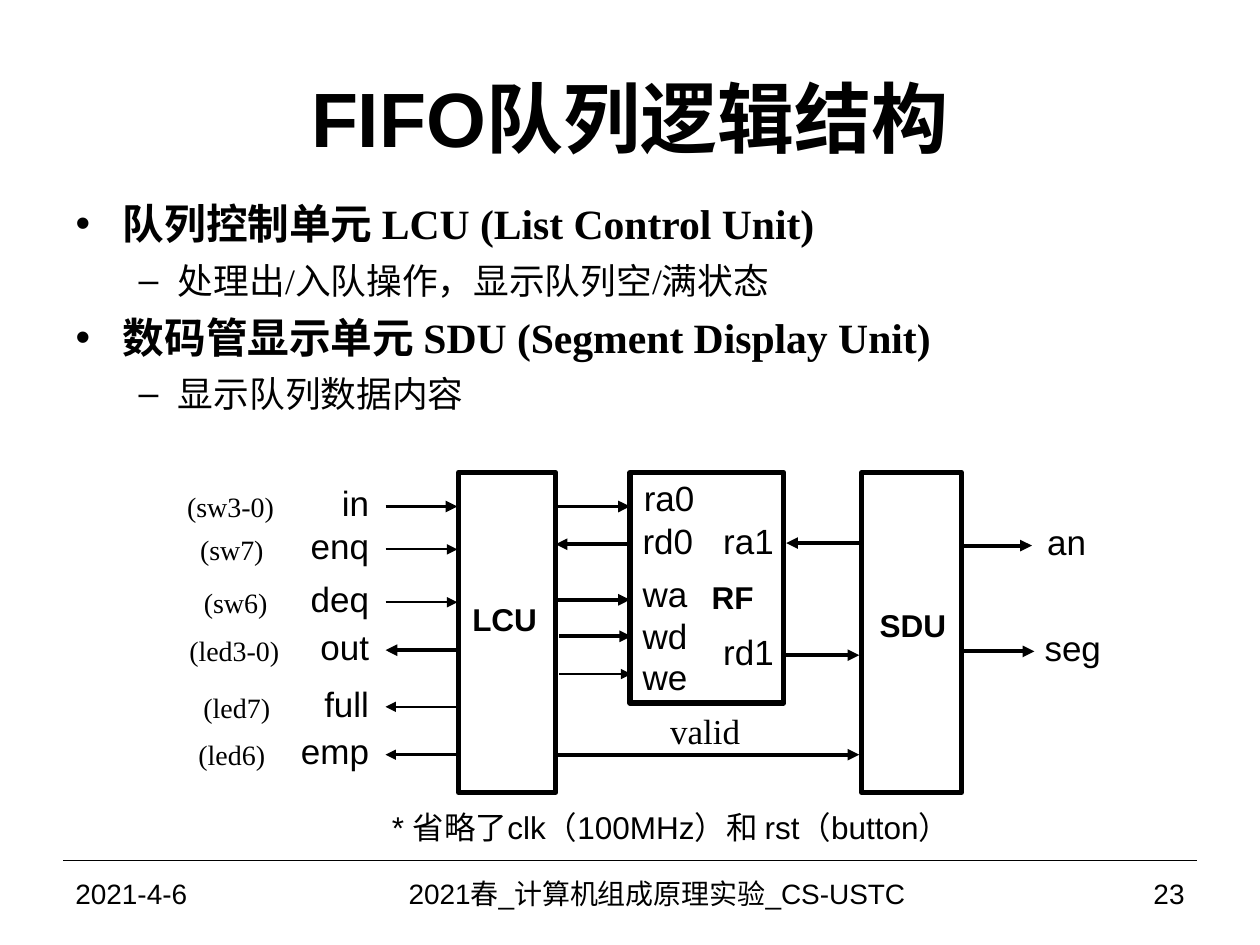
"""Build a slide on the logic structure of a FIFO queue, laid out on a 100 by 75 grid."""
from lxml.etree import SubElement
from pptx import Presentation
from pptx.dml.color import RGBColor
from pptx.enum.shapes import MSO_CONNECTOR as Link, MSO_SHAPE as Form
from pptx.enum.text import MSO_ANCHOR as Anchor, MSO_AUTO_SIZE as Fit, PP_ALIGN as Align
from pptx.oxml.ns import qn
from pptx.util import Inches, Pt

INK = "000000"
SANS, SERIF = "Arial", "Times New Roman"
TITLE = "FIFO队列逻辑结构"
ITEMS = [
    (0, "队列控制单元 LCU (List Control Unit)"),
    (1, "处理出/入队操作，显示队列空/满状态"),
    (0, "数码管显示单元 SDU (Segment Display Unit)"),
    (1, "显示队列数据内容"),
]
TOP = 37.5
BOXES = {"LCU": (36.4, 7.7, 25.4), "RF": (50, 12.2, 18.3), "SDU": (68.4, 7.9, 25.4)}
NAMES = [("LCU", 36.5, 49.1, 7.1), ("RF", 56.5, 47.4, 3.3), ("SDU", 68.8, 49.6, 7.3)]
PINS = [
    ("in", 2.2, "(sw3-0)", 18.3, 40.2, 2.25, True),
    ("enq", 4.7, "(sw7)", 18.4, 43.6, 1.25, True),
    ("deq", 4.7, "(sw6)", 18.7, 47.8, 1.25, True),
    ("out", 3.9, "(led3-0)", 18.6, 51.6, 2.25, False),
    ("full", 3.6, "(led7)", 18.8, 56.1, 1.5, False),
    ("emp", 5.4, "(led6)", 18.4, 59.9, 1.5, False),
]
PORTS = [
    ("ra0", 51.1, 39.5, 4), ("rd0", 51, 42.9, 4), ("wa", 51, 47.1, 3.6),
    ("wd", 51, 50.4, 3.6), ("we", 51, 53.7, 4.2), ("ra1", 57.4, 42.9, 4),
    ("rd1", 57.4, 51.7, 4), ("an", 83.1, 43, 3.1), ("seg", 82.9, 51.4, 4.6),
]
WIRES = [
    (44.3, 50, 40.2, 2.25), (50, 44.1, 43.2, 2.25), (44.3, 50, 47.6, 2.25),
    (44.4, 50.1, 50.5, 2.25), (44.4, 50.1, 53.5, 1.25), (68.2, 62.4, 43.1, 2.25),
    (62.4, 68.2, 52, 2.25), (76.2, 81.9, 43.3, 2.25), (76.5, 82.1, 51.7, 2.25),
    (44.2, 68.2, 59.9, 2.25),
]
NOTE = "* 省略了clk（100MHz）和 rst（button）"
FOOT = [
    ("2021-4-6", 5, 23.3, Align.LEFT),
    ("2021春_计算机组成原理实验_CS-USTC ", 28.3, 48.3, Align.CENTER),
    ("23", 76.7, 18.3, Align.RIGHT),
]

deck = Presentation()
deck.slide_width, deck.slide_height = Inches(10), Inches(7.5)
cell = deck.slide_width / 100
slide = deck.slides.add_slide(deck.slide_layouts[1])
shapes = slide.shapes


def grid(*cells):
    return [round(c * cell) for c in cells]


def tint(code):
    return RGBColor.from_string(code)


def style(para, text, size=20, font=SANS, bold=False, align=None):
    run = para.add_run()
    run.text = text
    face = run.font
    face.size, face.name, face.bold = Pt(size), font, bold
    face.color.rgb = tint(INK)
    para.alignment = align


def place(shape, *cells):
    shape.left, shape.top, shape.width, shape.height = grid(*cells)


def label(text, left, mid, width, high=3.3, pad=0, **look):
    box = shapes.add_textbox(*grid(left, mid - high / 2, width, high))
    frame = box.text_frame
    frame.word_wrap, frame.auto_size = False, Fit.NONE
    frame.vertical_anchor = Anchor.MIDDLE
    frame.margin_left = frame.margin_right = Inches(pad)
    frame.margin_top = frame.margin_bottom = 0
    style(frame.paragraphs[0], text, **look)


def wire(start, end, row, weight, arrow=True):
    line = shapes.add_connector(Link.STRAIGHT, *grid(start, row, end, row))
    line.line.color.rgb, line.line.width = tint(INK), Pt(weight)
    if arrow:
        SubElement(line.line._get_or_add_ln(), qn("a:tailEnd"), type="triangle")
    SubElement(line._element.spPr, qn("a:effectLst"))


def block(left, width, high):
    box = shapes.add_shape(Form.RECTANGLE, *grid(left, TOP, width, high))
    box.shadow.inherit = False
    box.fill.background()
    box.line.color.rgb, box.line.width = tint(INK), Pt(3)


def main():
    wire(5, 95, 68.3, 0.75, arrow=False)
    place(shapes.title, 5, 3, 90, 12.5)
    style(shapes.title.text_frame.paragraphs[0], TITLE, size=44, bold=True, align=Align.CENTER)
    body = slide.placeholders[1]
    place(body, 5, 15.2, 90, 18.1)
    frame = body.text_frame
    frame.auto_size = Fit.NONE
    for i, (level, text) in enumerate(ITEMS):
        para = frame.add_paragraph() if i else frame.paragraphs[0]
        para.level, para.space_before = level, Pt(6)
        style(para, text, size=20.4 if level else 23.8, font=SERIF, bold=not level)

    for box in BOXES.values():
        block(*box)
    for name, left, mid, width in NAMES:
        label(name, left, mid, width, size=18, bold=True, align=Align.CENTER)
    for port in PORTS:
        label(*port)
    for line in WIRES:
        wire(*line)
    for name, width, note, mid, row, weight, inward in PINS:
        label(name, 29.3 - width, row - 0.3, width, align=Align.RIGHT)
        label(note, mid - 5, row, 10, high=3.7, size=16, font=SERIF, align=Align.CENTER)
        ends = (30.6, 36.3) if inward else (36.3, 30.6)
        wire(*ends, row, weight)
    label("valid", 52.2, 58, 7.5, high=4.4, pad=0.1, font=SERIF)
    label(NOTE, 31.1, 65.6, 38.2, size=18)
    for text, left, width, align in FOOT:
        label(text, left, 70.9, width, high=5.2, pad=0.1, size=16, align=align)
    deck.save("out.pptx")


if __name__ == "__main__":
    main()
